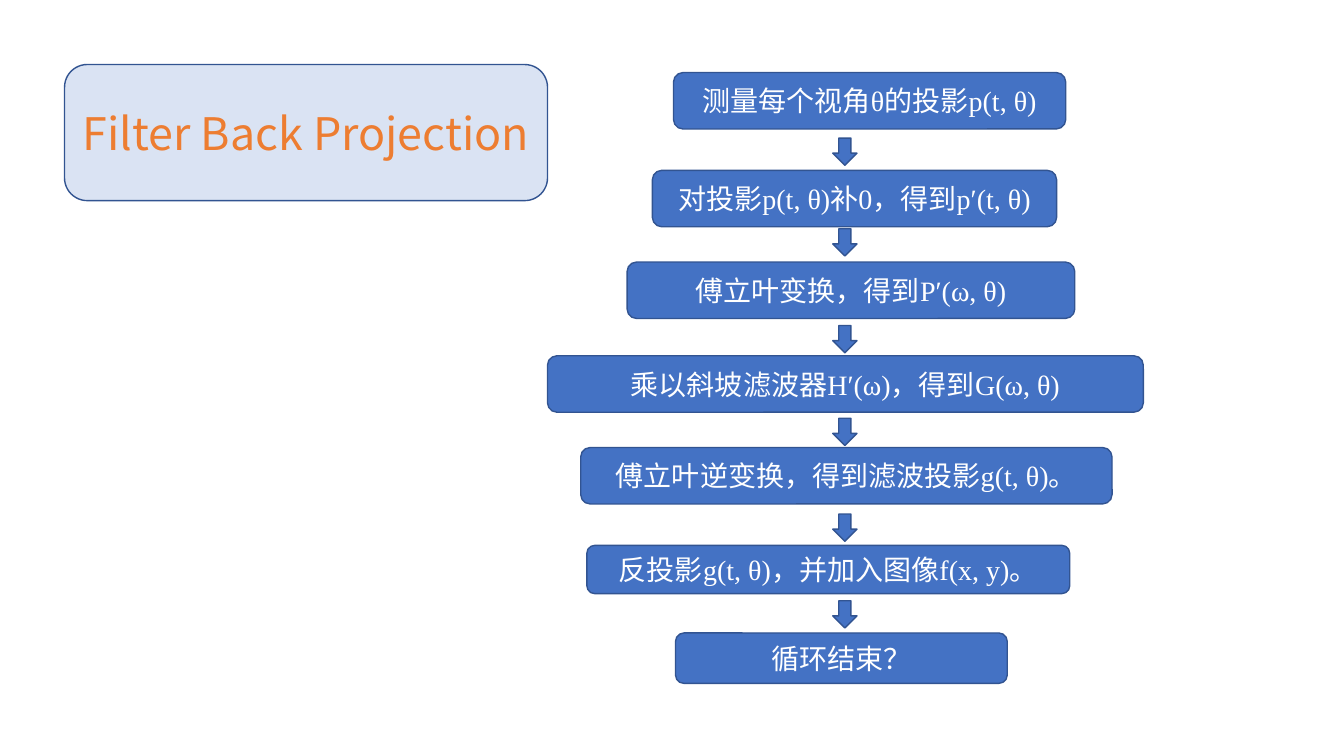
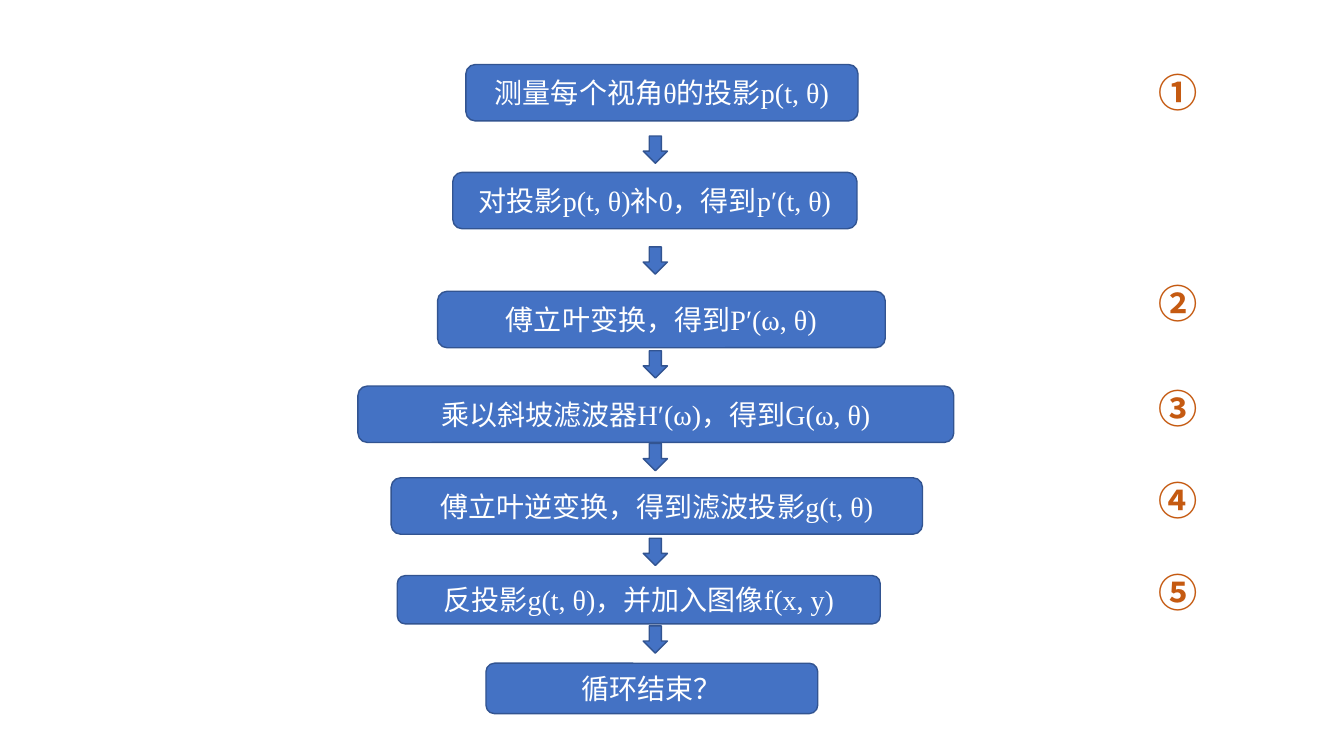
from lxml import etree
from pptx import Presentation
from pptx.dml.color import RGBColor
from pptx.enum import shapes, text
from pptx.oxml.ns import qn
from pptx.util import Pt

PX = 9144  # 100 px to the inch
BLUE, EDGE, PALE = "4472C4", "325491", "DAE3F3"
WHITE, ORANGE, RUST = "FFFFFF", "ED7D31", "C55A11"
SANS, SERIF = "Noto Sans CJK SC", "Times New Roman"
KIND = shapes.MSO_SHAPE

# Flow steps: text, width, height, side inset
STEPS = [
    ("测量每个视角θ的投影p(t, θ)", 389, 56, 1),
    ("对投影p(t, θ)补0，得到p′(t, θ)", 401, 56, 1),
    ("傅立叶变换，得到P′(ω, θ)", 444, 56, 2),
    ("乘以斜坡滤波器H′(ω)，得到G(ω, θ)", 591, 56, 2),
    ("傅立叶逆变换，得到滤波投影g(t, θ)", 527, 56, 2),
    ("反投影g(t, θ)，并加入图像f(x, y)", 479, 48, 4),
    ("循环结束？", 329, 50, 8),
]
LEFTS = [79, 0, 33, 39, 127]  # steps three to seven, from the flow's left
STOPPED = (4, 5)  # steps that may end in a full stop
ARROW = 283  # arrow column, from the flow's left


def color(code):
    return RGBColor.from_string(code)


def px(*sizes):
    return [size * PX for size in sizes]


def write(shape, words, size, name, code, bold=False):
    para = shape.text_frame.paragraphs[0]
    para.text = words
    font = para.font
    font.size, font.name, font.bold = Pt(size), name, bold
    font.color.rgb = color(code)
    etree.SubElement(font._element, qn("a:ea"), typeface=SANS)
    return para


def block(slide, kind, box, fill=BLUE):
    shape = slide.shapes.add_shape(kind, *px(*box))
    shape.shadow.inherit = False
    shape.fill.solid()
    shape.fill.fore_color.rgb = color(fill)
    shape.line.color.rgb = color(EDGE)
    shape.line.width = Pt(1)
    return shape


def label(shape, *style):
    frame = shape.text_frame
    frame.word_wrap = True
    frame.vertical_anchor = text.MSO_ANCHOR.MIDDLE
    write(shape, *style).alignment = text.PP_ALIGN.CENTER


def flow(slide, left, top, lead, tops, arrows, stop=""):
    """Draw the chain of steps; lead holds the left offsets of the first two."""
    for i, (words, wide, high, side) in enumerate(STEPS):
        box = left + (lead + LEFTS)[i], top + tops[i], wide, high
        step = block(slide, KIND.ROUNDED_RECTANGLE, box)
        frame = step.text_frame
        frame.margin_left = frame.margin_right = side * PX
        frame.margin_top = frame.margin_bottom = max(1, side // 2) * PX
        end = stop if i in STOPPED else ""
        label(step, words + end, 20, SERIF, WHITE)
    for drop in arrows:
        block(slide, KIND.DOWN_ARROW, (left + ARROW, top + drop, 24, 27))


def title(slide, box):
    shape = block(slide, KIND.ROUNDED_RECTANGLE, box, PALE)
    label(shape, "Filter Back Projection", 32, SANS, ORANGE)


def marks(slide, left, top, drops):
    """Number the main steps down a column."""
    for sign, drop in zip("①②③④⑤", drops):
        mark = slide.shapes.add_textbox(*px(left, top + drop, 68, 57))
        mark.text_frame.word_wrap = True
        mark.text_frame.auto_size = text.MSO_AUTO_SIZE.SHAPE_TO_FIT_TEXT
        write(mark, sign, 28, SANS, RUST, True)


def main():
    deck = Presentation()
    deck.slide_width, deck.slide_height = px(1333, 750)
    blank = deck.slide_layouts[6]

    # Titled flow
    slide = deck.slides.add_slide(blank)
    flow(slide, 543, 72, [125, 104], [0, 97, 188, 281, 372, 469, 556],
         [65, 155, 251, 343, 438, 524], "。")
    title(slide, (64, 64, 479, 135))

    # Numbered flow
    slide = deck.slides.add_slide(blank)
    flow(slide, 355, 64, [107, 94], [0, 107, 225, 319, 410, 507, 594],
         [71, 181, 284, 376, 470, 557])
    marks(slide, 1139, 63, [0, 209, 313, 405, 496])

    deck.save("out.pptx")


if __name__ == "__main__":
    main()
